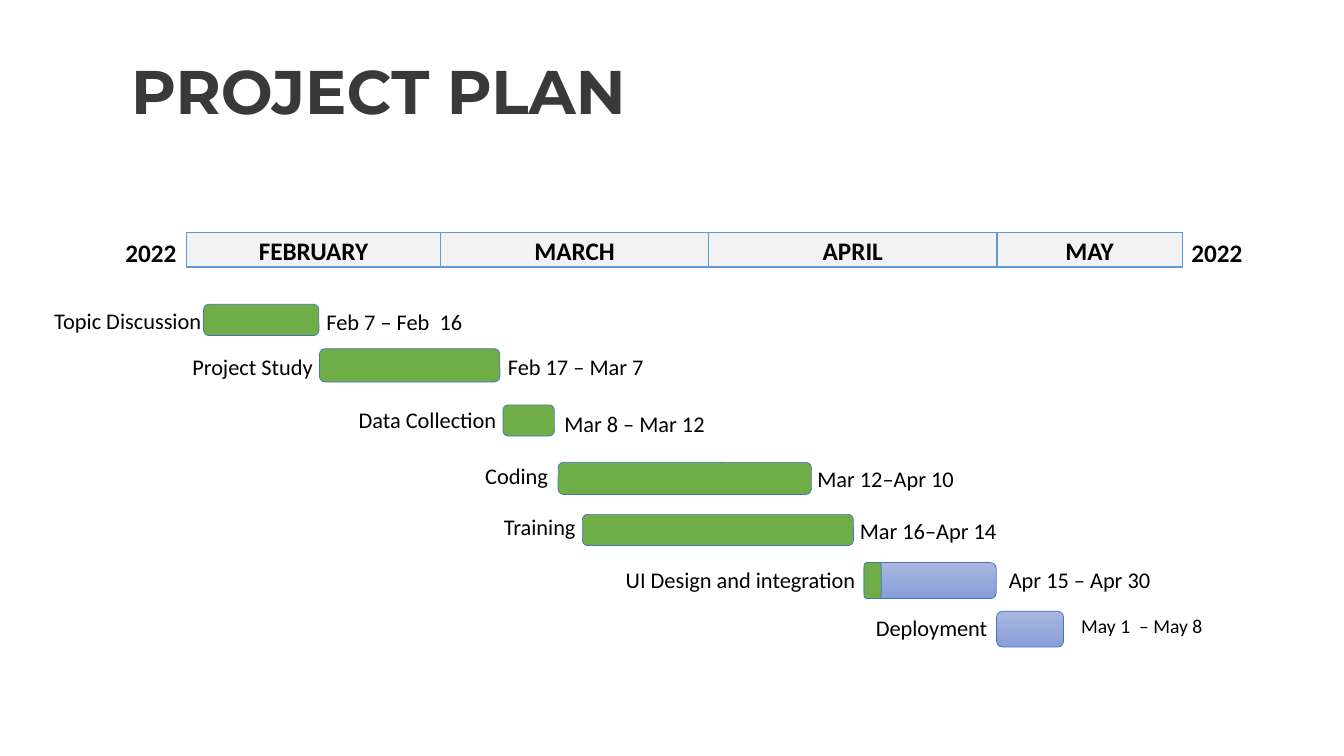
from itertools import pairwise

from pptx import Presentation
from pptx.dml.color import RGBColor
from pptx.enum.shapes import MSO_SHAPE as SHAPE
from pptx.enum.text import MSO_ANCHOR as ANCHOR, PP_ALIGN as ALIGN
from pptx.util import Pt

GREEN = "70AD47"
PLANNED = ("A8B7DF", "889ED7")
MONTHS = ["FEBRUARY", "MARCH", "APRIL", "MAY"]
MONTH_EDGES = [133.4, 314.6, 506.2, 712.1, 844.5]
MONTH_TOP, MONTH_HEIGHT = 166.3, 24.5
TEXT_HEIGHT = 26.6

# Each task: name, its box (left, top, width), bar (left, top, width, height),
# share done, dates, their box (left, top, width), date size
TASKS = [
    ("Topic Discussion", (31.7, 216, 160), (145.4, 217.4, 82.4, 22.3), 1,
     "Feb 7 – Feb  16", (226.1, 216.9, 122), 16),
    ("Project Study", (130.3, 248.6, 113), (228.2, 249.1, 128.9, 23.8), 1,
     "Feb 17 – Mar 7", (355.7, 248.6, 148), 16),
    ("Data Collection", (249.1, 286.6, 130), (359.3, 289.2, 36.7, 22.3), 1,
     "Mar 8 – Mar 12", (396, 289.4, 158), 16),
    ("Coding", (339.5, 326.4, 65), (398.7, 330.3, 180.9, 22.9), 1,
     "Mar 12–Apr 10", (576.7, 328.8, 118), 16),
    ("Training", (352.8, 362.9, 70.6), (416, 367.4, 193.6, 22.3), 1,
     "Mar 16–Apr 14", (607.1, 365.8, 118), 16),
    ("UI Design and integration", (439.9, 401, 213), (617.2, 401.8, 94.5, 25.7), 0.13,
     "Apr 15 – Apr 30", (713.5, 401, 132), 16),
    ("Deployment", (618.5, 435, 106.6), (711.9, 436.6, 47.8, 25.6), 0,
     "May 1  – May 8", (765.2, 434.9, 122), 14),
]


def rgb(code):
    """Turn a hex string into a colour."""
    return RGBColor.from_string(code)


def write(tf, text, size, color="000000", bold=False, align=ALIGN.LEFT, font="Calibri"):
    """Set one formatted paragraph in a text frame."""
    tf.text = text
    p = tf.paragraphs[0]
    p.alignment = align
    f = p.runs[0].font
    f.name, f.size, f.bold = font, Pt(size), bold
    f.color.rgb = rgb(color)


def add_title(s, text):
    """Place and format the slide title."""
    sp = s.shapes.title
    sp.left, sp.top, sp.width, sp.height = Pt(86.4), Pt(22.3), Pt(792), Pt(90)
    write(sp.text_frame, text, 44, "3B3838", True, font="Montserrat")
    sp.text_frame.vertical_anchor = ANCHOR.MIDDLE
    sp.text_frame.paragraphs[0].line_spacing = 0.9


def add_label(s, text, left, top, width, size=16, **style):
    """Add a wrapped text box."""
    sp = s.shapes.add_textbox(Pt(left), Pt(top), Pt(width), Pt(TEXT_HEIGHT))
    sp.text_frame.word_wrap = True
    write(sp.text_frame, text, size, **style)


def add_box(s, kind, left, top, width, height, fill, line, weight):
    """Add an outlined shape with a plain fill or a vertical gradient."""
    sp = s.shapes.add_shape(kind, Pt(left), Pt(top), Pt(width), Pt(height))
    sp.shadow.inherit = False
    if isinstance(fill, str):
        sp.fill.solid()
        sp.fill.fore_color.rgb = rgb(fill)
    else:
        sp.fill.gradient()
        sp.fill.gradient_angle = 270
        for stop, code in zip(sp.fill.gradient_stops, fill):
            stop.color.rgb = rgb(code)
    sp.line.color.rgb = rgb(line)
    sp.line.width = Pt(weight)
    return sp


def add_month(s, name, left, right):
    """Add one month of the time scale."""
    sp = add_box(s, SHAPE.RECTANGLE, left, MONTH_TOP, right - left, MONTH_HEIGHT,
                 "F2F2F2", "5B9BD5", 1)
    sp.text_frame.vertical_anchor = ANCHOR.MIDDLE
    write(sp.text_frame, name, 18, bold=True, align=ALIGN.CENTER)


def add_bar(s, left, top, width, height, done):
    """Add a task bar with its finished part in green."""
    if done < 1:
        add_box(s, SHAPE.ROUNDED_RECTANGLE, left, top, width, height, PLANNED, "4472C4", 0.5)
    if done > 0:
        add_box(s, SHAPE.ROUNDED_RECTANGLE, left, top, width * done, height,
                GREEN, "4472C4", 0.5)


def main():
    """Build the project plan slide."""
    prs = Presentation()
    prs.slide_width, prs.slide_height = Pt(960), Pt(540)
    s = prs.slides.add_slide(prs.slide_layouts[5])
    add_title(s, "PROJECT PLAN")
    for name, (left, right) in zip(MONTHS, pairwise(MONTH_EDGES)):
        add_month(s, name, left, right)
    add_label(s, "2022", 56.2, 166.3, 77, 18, bold=True, align=ALIGN.RIGHT)
    add_label(s, "2022", 844, 165.8, 79, 18, bold=True)
    for name, name_box, bar, done, dates, dates_box, size in TASKS:
        add_label(s, name, *name_box)
        add_bar(s, *bar, done)
        add_label(s, dates, *dates_box, size)
    prs.save("out.pptx")


if __name__ == "__main__":
    main()
